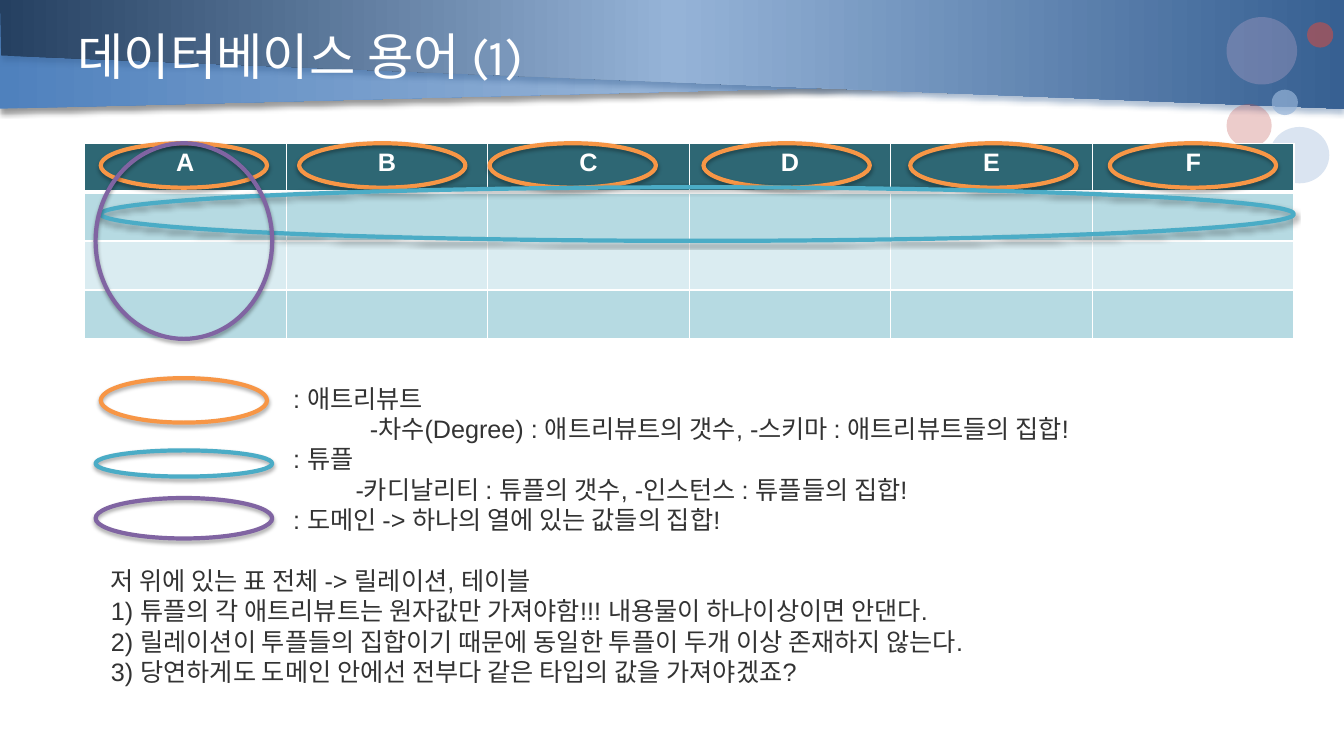
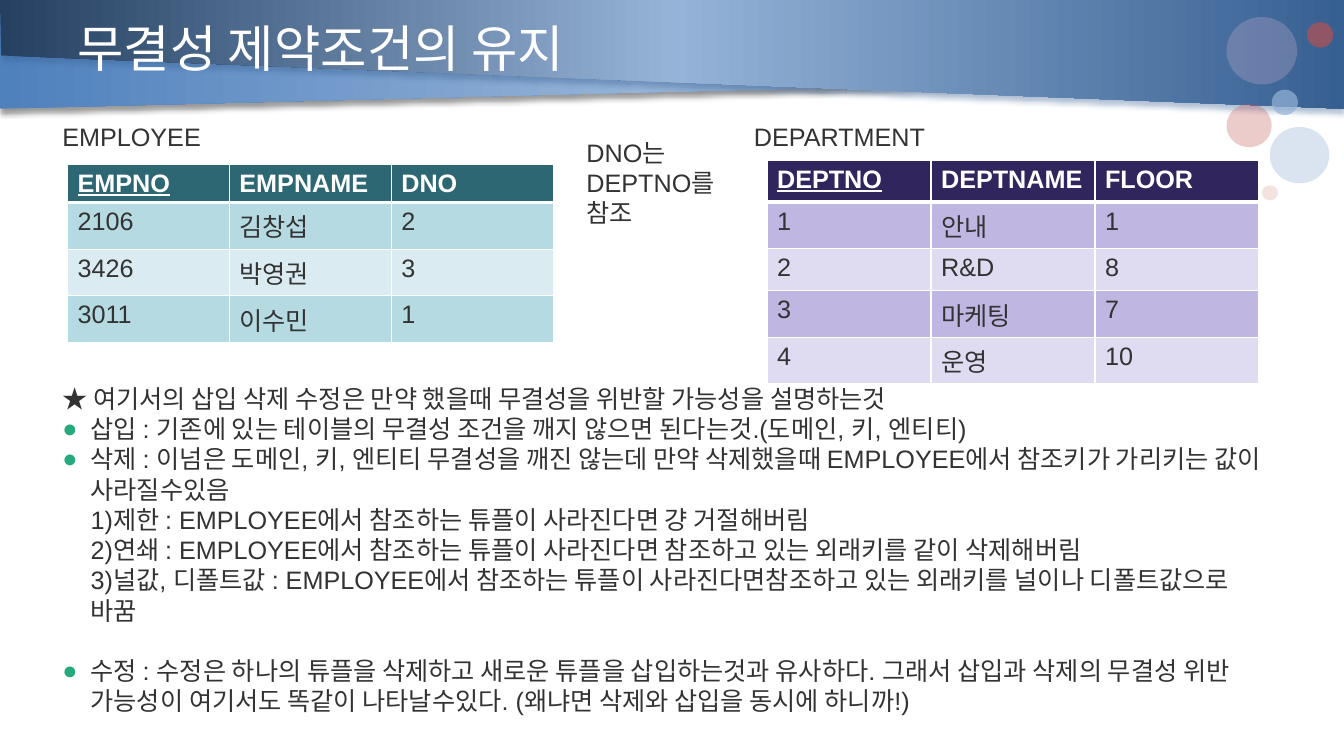
from dataclasses import dataclass

from lxml.etree import SubElement
from pptx import Presentation
from pptx.dml.color import RGBColor
from pptx.enum.shapes import MSO_SHAPE
from pptx.enum.text import MSO_ANCHOR, MSO_AUTO_SIZE, PP_ALIGN
from pptx.oxml.ns import qn
from pptx.shapes.base import BaseShape
from pptx.slide import Slide, SlideLayout
from pptx.text.text import TextFrame
from pptx.util import Cm, Pt

WHITE = RGBColor(0xFF, 0xFF, 0xFF)
BLACK = RGBColor(0x00, 0x00, 0x00)
INK = RGBColor(0x33, 0x33, 0x33)
NAVY = RGBColor(0x25, 0x40, 0x61)
DEEP_BLUE = RGBColor(0x37, 0x60, 0x92)
BLUE = RGBColor(0x4F, 0x81, 0xBD)
PALE_BLUE = RGBColor(0x95, 0xB3, 0xD7)
RED = RGBColor(0xC0, 0x50, 0x4D)
PALE_RED = RGBColor(0xF2, 0xDC, 0xDB)
LILAC = RGBColor(0xB3, 0xA2, 0xC7)
ORANGE = RGBColor(0xF7, 0x96, 0x46)
AQUA = RGBColor(0x4B, 0xAC, 0xC6)
PURPLE = RGBColor(0x80, 0x64, 0xA2)
GREEN = RGBColor(0x24, 0xAA, 0x7E)

TITLE_FONT = "Karla"
BODY_FONT = "Arial"
BODY_SIZE = Pt(18)
LINE_PITCH = 21.6
HANG = 0.71


@dataclass(frozen=True)
class Area:
    left: float
    top: float
    width: float
    height: float

    def lengths(self) -> tuple[Cm, Cm, Cm, Cm]:
        return Cm(self.left), Cm(self.top), Cm(self.width), Cm(self.height)


@dataclass(frozen=True)
class Shadow:
    color: RGBColor
    opacity: int
    blur: float
    distance: float


@dataclass(frozen=True)
class Band:
    points: tuple[tuple[float, float], ...]
    stops: tuple[RGBColor, RGBColor, RGBColor]
    shadow: Shadow


@dataclass(frozen=True)
class Bubble:
    area: Area
    color: RGBColor
    opacity: int


@dataclass(frozen=True)
class Ring:
    area: Area
    color: RGBColor


@dataclass(frozen=True)
class Line:
    text: str
    margin: float = 0
    indent: float = 0
    bullet: bool = False
    before: float = 0


@dataclass(frozen=True)
class Palette:
    header: RGBColor
    odd: RGBColor
    even: RGBColor


TEAL_ROWS = Palette(RGBColor(0x2E, 0x67, 0x74), RGBColor(0xB6, 0xDA, 0xE2), RGBColor(0xDA, 0xEC, 0xF1))
VIOLET_ROWS = Palette(RGBColor(0x31, 0x25, 0x5D), RGBColor(0xBF, 0xB6, 0xE2), RGBColor(0xDF, 0xDB, 0xF0))
RING_SHADOW = Shadow(BLACK, 35, 3.1, 1.8)

BANDS = (
    Band(((0, 0), (32.74, 1.91), (0, 2.74)), (BLUE, PALE_BLUE, DEEP_BLUE), Shadow(BLACK, 40, 4, 3)),
    Band(((33.87, 0), (0, 0), (0.03, 1.4), (33.87, 2.74)), (NAVY, PALE_BLUE, DEEP_BLUE),
         Shadow(DEEP_BLUE, 40, 4, 3)),
)
BUBBLES = (
    Bubble(Area(31.8, 4.67, 0.41, 0.38), PALE_RED, 82),
    Bubble(Area(30.91, 2.62, 1.14, 1.09), RED, 29),
    Bubble(Area(32, 3.2, 1.5, 1.42), PALE_BLUE, 35),
    Bubble(Area(32.05, 2.26, 0.66, 0.64), PALE_BLUE, 70),
    Bubble(Area(30.91, 0.43, 1.78, 1.7), LILAC, 36),
    Bubble(Area(32.94, 0.56, 0.66, 0.64), RED, 65),
)

ATTRIBUTE_LEFTS = (2.54, 7.54, 12.34, 17.73, 22.94, 27.97)
RINGS = (
    *(Ring(Area(left, 3.61, 4.19, 1.12), ORANGE) for left in ATTRIBUTE_LEFTS),
    Ring(Area(2.54, 9.53, 4.19, 1.12), ORANGE),
    Ring(Area(2.54, 4.72, 30.07, 1.35), AQUA),
    Ring(Area(2.41, 11.35, 4.45, 0.66), AQUA),
    Ring(Area(2.41, 3.61, 4.45, 4.93), PURPLE),
    Ring(Area(2.41, 12.55, 4.45, 1.02), PURPLE),
)
LEGEND = (
    Line(": 애트리뷰트"),
    Line("-차수(Degree) : 애트리뷰트의 갯수, -스키마 : 애트리뷰트들의 집합!", margin=1.93),
    Line(": 튜플"),
    Line("-카디날리티 : 튜플의 갯수, -인스턴스 : 튜플들의 집합!", margin=1.57),
    Line(": 도메인 -> 하나의 열에 있는 값들의 집합!"),
)
RELATION_RULES = (
    Line("저 위에 있는 표 전체 -> 릴레이션, 테이블"),
    Line("1) 튜플의 각 애트리뷰트는 원자값만 가져야함!!! 내용물이 하나이상이면 안댄다."),
    Line("2) 릴레이션이 투플들의 집합이기 때문에 동일한 투플이 두개 이상 존재하지 않는다."),
    Line("3) 당연하게도 도메인 안에선 전부다 같은 타입의 값을 가져야겠죠?"),
)
INTEGRITY_RULES = (
    Line("★ 여기서의 삽입 삭제 수정은 만약 했을때 무결성을 위반할 가능성을 설명하는것", HANG, -HANG),
    Line("삽입 : 기존에 있는 테이블의 무결성 조건을 깨지 않으면 된다는것.(도메인, 키, 엔티티)",
         HANG, -HANG, True),
    Line("삭제 : 이넘은 도메인, 키, 엔티티 무결성을 깨진 않는데 만약 삭제했을때 "
         "EMPLOYEE에서 참조키가 가리키는 값이 \t사라질수있음", HANG, -HANG, True),
    Line("1)제한 : EMPLOYEE에서 참조하는 튜플이 사라진다면 걍 거절해버림", HANG),
    Line("2)연쇄 : EMPLOYEE에서 참조하는 튜플이 사라진다면 참조하고 있는 외래키를 같이 삭제해버림", HANG),
    Line("3)널값, 디폴트값 : EMPLOYEE에서 참조하는 튜플이 사라진다면참조하고 있는 "
         "외래키를 널이나 디폴트값으로 바꿈", HANG),
    Line("수정 : 수정은 하나의 튜플을 삭제하고 새로운 튜플을 삽입하는것과 유사하다. "
         "그래서 삽입과 삭제의 무결성 위반 가능성이 여기서도 똑같이 나타날수있다. "
         "(왜냐면 삭제와 삽입을 동시에 하니까!)", HANG, -HANG, True, LINE_PITCH),
)
EMPLOYEES = (
    ("EMPNO", "EMPNAME", "DNO"),
    ("2106", "김창섭", "2"),
    ("3426", "박영권", "3"),
    ("3011", "이수민", "1"),
)
DEPARTMENTS = (
    ("DEPTNO", "DEPTNAME", "FLOOR"),
    ("1", "안내", "1"),
    ("2", "R&D", "8"),
    ("3", "마케팅", "7"),
    ("4", "운영", "10"),
)


def set_shadow(shape: BaseShape, shadow: Shadow) -> None:
    shape.shadow.inherit = False
    effects = shape.element.spPr.find(qn("a:effectLst"))
    outer = SubElement(effects, qn("a:outerShdw"), blurRad=str(Pt(shadow.blur)),
                       dist=str(Pt(shadow.distance)), dir="5400000", rotWithShape="0")
    color = SubElement(outer, qn("a:srgbClr"), val=str(shadow.color))
    SubElement(color, qn("a:alpha"), val=str(shadow.opacity * 1000))


def draw_band(page: Slide, band: Band) -> BaseShape:
    start, *corners = [(Cm(x), Cm(y)) for x, y in band.points]
    builder = page.shapes.build_freeform(*start)
    builder.add_line_segments(corners, close=True)
    shape = builder.convert_to_shape()
    shape.fill.gradient()
    shape.fill.gradient_angle = 0
    stops = shape.element.spPr.find(".//" + qn("a:gsLst"))
    for stop in list(stops):
        stops.remove(stop)
    for position, color in zip((0, 50000, 100000), band.stops):
        stop = SubElement(stops, qn("a:gs"), pos=str(position))
        SubElement(stop, qn("a:srgbClr"), val=str(color))
    shape.line.fill.background()
    set_shadow(shape, band.shadow)
    return shape


def draw_bubble(page: Slide, bubble: Bubble) -> BaseShape:
    shape = page.shapes.add_shape(MSO_SHAPE.OVAL, *bubble.area.lengths())
    shape.fill.solid()
    shape.fill.fore_color.rgb = bubble.color
    color = shape.element.spPr.find(".//" + qn("a:srgbClr"))
    SubElement(color, qn("a:alpha"), val=str(bubble.opacity * 1000))
    shape.line.fill.background()
    shape.shadow.inherit = False
    return shape


def decorate_layout(layout: SlideLayout, page: Slide) -> None:
    for holder in list(layout.placeholders):
        if holder.placeholder_format.idx >= 10:
            layout.shapes.element.remove(holder.element)
    shapes = [draw_band(page, band) for band in BANDS]
    shapes += [draw_bubble(page, bubble) for bubble in BUBBLES]
    for position, shape in enumerate(shapes, start=2):
        layout.shapes.element.insert(position, shape.element)


def place(shape: BaseShape, area: Area) -> None:
    shape.left, shape.top, shape.width, shape.height = area.lengths()


def write_title(page: Slide, text: str, top: float) -> None:
    title = page.shapes.title
    place(title, Area(1.7, top, 30.48, 2.41))
    frame = title.text_frame
    frame.auto_size = MSO_AUTO_SIZE.NONE
    frame.vertical_anchor = MSO_ANCHOR.MIDDLE
    para = frame.paragraphs[0]
    para.alignment = PP_ALIGN.LEFT
    span = para.add_run()
    span.text = text
    span.font.name, span.font.size = TITLE_FONT, Pt(36)
    span.font.color.rgb = WHITE


def write_lines(frame: TextFrame, lines: tuple[Line, ...]) -> None:
    frame.word_wrap = True
    frame.auto_size = MSO_AUTO_SIZE.NONE
    frame.vertical_anchor = MSO_ANCHOR.TOP
    for number, line in enumerate(lines):
        para = frame.add_paragraph() if number else frame.paragraphs[0]
        para.space_before = Pt(line.before)
        span = para.add_run()
        span.text = line.text
        span.font.name, span.font.size = BODY_FONT, BODY_SIZE
        span.font.color.rgb = INK
        properties = para._p.get_or_add_pPr()
        properties.set("marL", str(Cm(line.margin)))
        properties.set("indent", str(Cm(line.indent)))
        if line.bullet:
            color = SubElement(properties, qn("a:buClr"))
            SubElement(color, qn("a:srgbClr"), val=str(GREEN))
            SubElement(properties, qn("a:buChar"), char="●")
        else:
            SubElement(properties, qn("a:buNone"))


def write_body(page: Slide, area: Area, lines: tuple[Line, ...]) -> None:
    body = page.placeholders[1]
    place(body, area)
    write_lines(body.text_frame, lines)


def add_text(page: Slide, area: Area, *lines: Line) -> None:
    box = page.shapes.add_textbox(*area.lengths())
    write_lines(box.text_frame, lines)


def add_ring(page: Slide, ring: Ring) -> None:
    shape = page.shapes.add_shape(MSO_SHAPE.OVAL, *ring.area.lengths())
    shape.fill.background()
    shape.line.color.rgb = ring.color
    shape.line.width = Pt(3)
    set_shadow(shape, RING_SHADOW)


def add_grid(page: Slide, area: Area, rows: tuple[tuple[str, ...], ...], palette: Palette,
             header_align: PP_ALIGN = PP_ALIGN.LEFT, key_column: bool = True) -> None:
    grid = page.shapes.add_table(len(rows), len(rows[0]), *area.lengths()).table
    for r, row in enumerate(rows):
        for c, text in enumerate(row):
            cell = grid.cell(r, c)
            edges = {"L": 0.96, "R": 0.96, "T": 3 if r == 1 else 0.96, "B": 0.96 if r else 3}
            for side, width in edges.items():
                edge = SubElement(cell._tc.get_or_add_tcPr(), qn(f"a:ln{side}"), w=str(Pt(width)))
                SubElement(SubElement(edge, qn("a:solidFill")), qn("a:srgbClr"), val=str(WHITE))
            cell.fill.solid()
            cell.fill.fore_color.rgb = (palette.odd if r % 2 else palette.even) if r else palette.header
            para = cell.text_frame.paragraphs[0]
            para.alignment = PP_ALIGN.LEFT if r else header_align
            para.font.size = BODY_SIZE
            if text:
                span = para.add_run()
                span.text = text
                span.font.name, span.font.size = BODY_FONT, BODY_SIZE
                span.font.bold = r == 0
                span.font.underline = key_column and r == c == 0
                span.font.color.rgb = INK if r else WHITE


deck = Presentation()
deck.slide_width, deck.slide_height = Cm(33.87), Cm(19.05)
layout = deck.slide_layouts[1]

terms = deck.slides.add_slide(layout)
decorate_layout(layout, terms)
write_title(terms, "데이터베이스 용어 (1)", 0.2)
add_grid(terms, Area(2.13, 3.61, 30.48, 4.93), (tuple("ABCDEF"), *(("",) * 6,) * 3), TEAL_ROWS,
         PP_ALIGN.CENTER, key_column=False)
add_text(terms, Area(7.14, 9.53, 25.48, 4.06), *LEGEND)
for ring in RINGS:
    add_ring(terms, ring)
write_body(terms, Area(2.54, 14.12, 30.4, 3.3), RELATION_RULES)

integrity = deck.slides.add_slide(layout)
write_title(integrity, "무결성 제약조건의 유지", 0)
add_grid(integrity, Area(1.7, 4.14, 12.24, 3.78), EMPLOYEES, TEAL_ROWS)
add_grid(integrity, Area(19.33, 4.04, 12.4, 5.28), DEPARTMENTS, VIOLET_ROWS)
add_text(integrity, Area(14.53, 3.33, 4.19, 2.54), Line("DNO는"), Line("DEPTNO를 참조"))
write_body(integrity, Area(1.32, 9.53, 31.19, 8.64), INTEGRITY_RULES)
add_text(integrity, Area(1.32, 2.92, 7.59, 1.02), Line("EMPLOYEE"))
add_text(integrity, Area(18.75, 2.92, 8.79, 1.02), Line("DEPARTMENT"))

deck.save("out.pptx")
